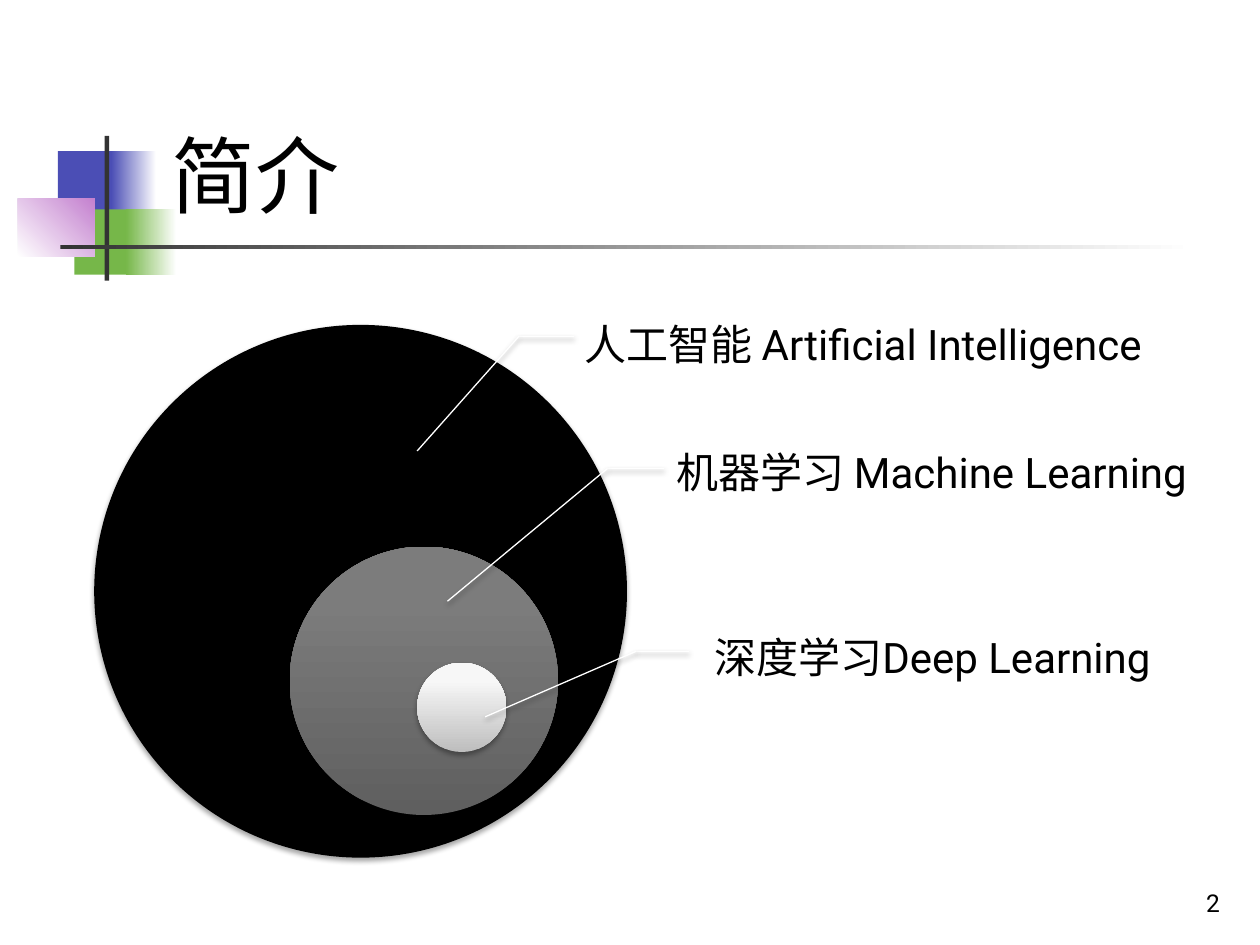
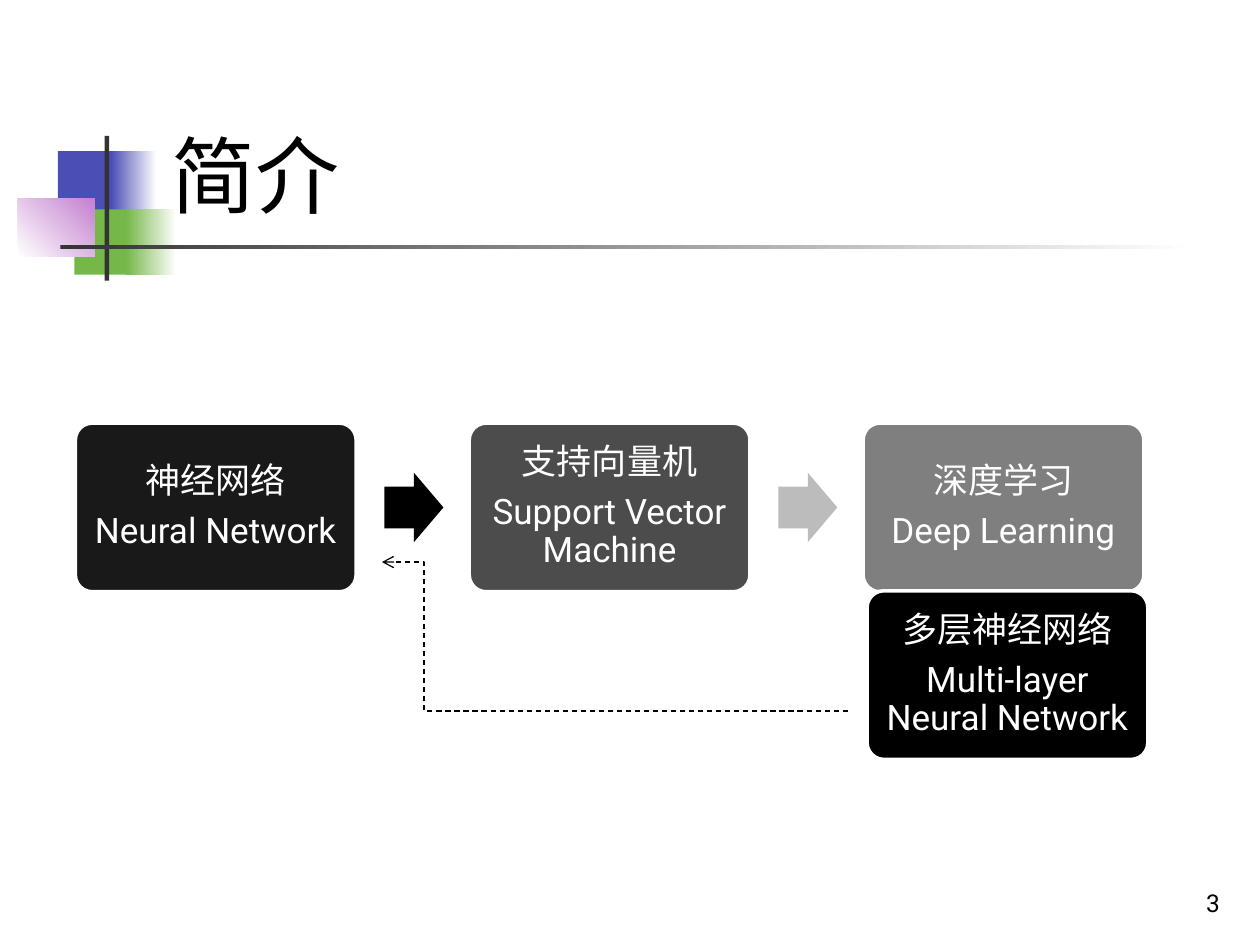
from lxml import etree
from pptx import Presentation
from pptx.dml.color import RGBColor
from pptx.enum.dml import MSO_LINE
from pptx.enum.shapes import MSO_CONNECTOR as CONN, MSO_SHAPE as SHAPE
from pptx.enum.text import MSO_ANCHOR as ANCHOR, PP_ALIGN as ALIGN
from pptx.oxml.ns import qn
from pptx.util import Cm, Pt

BLACK, WHITE, DARK = "000000", "FFFFFF", "333333"
BLUE, GREEN, PINK = "4B4EB5", "76B749", "C481CF"
BODY_FONT, TITLE_FONT = "Roboto", "DejaVu Sans Mono"
TITLE_AT = (3.2, 0.58, 21.64, 4.06)
NUMBER_AT = (19.56, 17.35, 5.28, 1.27)

# Corner ornament: place, fill
ORNAMENT = [
    ((1.17, 3.05, 1.22, 1.32), BLUE),
    ((2.24, 3.05, 0.91, 1.32), ([(0, BLUE), (100, WHITE)], 0)),
    ((1.5, 4.22, 1.17, 1.32), GREEN),
    ((2.54, 4.22, 1.02, 1.32), ([(0, GREEN), (100, WHITE)], 0)),
    ((0.36, 4.01, 1.55, 1.17), ([(0, WHITE), (100, PINK)], 315)),
    ((2.11, 2.74, 0.09, 2.92), DARK),
    ((1.22, 4.94, 22.86, 0.09), ([(0, DARK), (100, WHITE)], 0)),
]

# Nested circles: left, top, diameter, fill
CIRCLES = [
    (1.9, 6.55, 10.74, BLACK),
    (5.84, 11.02, 5.41, ([(0, "5F5F5F"), (80, "7C7C7C"), (100, "7C7C7C")], 270)),
    (8.41, 13.36, 1.8, ([(0, "BEBEBE"), (80, "F7F7F7"), (100, "F8F8F8")], 270)),
]

# Labels: text, place, leader points from label to circle
LABELS = [
    ("人工智能 Artificial Intelligence", (11.3, 5.69, 12.52, 2.62),
     [(11.58, 6.78), (10.46, 6.78), (8.41, 9.09)]),
    ("机器学习 Machine Learning", (13.16, 8.26, 12.34, 2.62),
     [(13.39, 9.45), (12.24, 9.45), (9.02, 12.12)]),
    ("深度学习Deep Learning", (13.92, 12.34, 10.85, 1.93),
     [(13.89, 13.13), (12.82, 13.13), (9.78, 14.45)]),
]

# Stages: lines, opacity of the black fill
STAGES = [
    (["神经网络", "Neural Network"], 90),
    (["支持向量机", "Support Vector Machine"], 70),
    (["深度学习", "Deep Learning"], 50),
]
STAGE_LEFT, STAGE_TOP, STAGE_STEP = 1.52, 8.53, 7.94
STAGE_SIZE = (5.66, 3.4)


def rgb(color):
    return RGBColor.from_string(color)


def cm(values):
    return [Cm(v) for v in values]


def sub(parent, tag, **attrs):
    return etree.SubElement(parent, qn(tag), {k: str(v) for k, v in attrs.items()})


def set_attrs(obj, values):
    for name, value in values.items():
        setattr(obj, name, value)


def set_gradient(sp, stops, angle):
    sp.fill.background()
    spPr = sp._element.spPr
    grad = etree.Element(qn("a:gradFill"), rotWithShape="1")
    stop_list = sub(grad, "a:gsLst")
    for pos, color in stops:
        sub(sub(stop_list, "a:gs", pos=pos * 1000), "a:srgbClr", val=color)
    sub(grad, "a:lin", ang=angle * 60000, scaled=0)
    spPr.replace(spPr.find(qn("a:noFill")), grad)


def set_opacity(sp, percent):
    color = sp._element.spPr.find(qn("a:solidFill"))[0]
    sub(color, "a:alpha", val=percent * 1000)


def set_shadow(sp, opacity, distance):
    spPr = sp._element.spPr
    effects = spPr.find(qn("a:effectLst"))
    if effects is None:
        effects = sub(spPr, "a:effectLst")
    shadow = sub(effects, "a:outerShdw", blurRad=Pt(3.1), dist=Pt(distance),
                 dir=5400000, rotWithShape=0)
    sub(sub(shadow, "a:srgbClr", val=BLACK), "a:alpha", val=opacity * 1000)


def write(tf, lines, font, color=BLACK, align=ALIGN.LEFT, **paragraph):
    for i, line in enumerate(lines):
        p = tf.paragraphs[0] if i == 0 else tf.add_paragraph()
        set_attrs(p, {"alignment": align, **paragraph})
        if i:
            p.space_before = Pt(7)
        r = p.add_run()
        r.text = line
        set_attrs(r.font, font)
        r.font.color.rgb = rgb(color)


def add_shape(s, kind, at, fill, adjust=()):
    sp = s.shapes.add_shape(kind, *cm(at))
    sp.shadow.inherit = False
    sp.line.fill.background()
    for i, value in enumerate(adjust):
        sp.adjustments[i] = value
    if isinstance(fill, str):
        sp.fill.solid()
        sp.fill.fore_color.rgb = rgb(fill)
    else:
        set_gradient(sp, *fill)
    return sp


def add_text(s, at, lines, font, frame, **style):
    tf = s.shapes.add_textbox(*cm(at)).text_frame
    set_attrs(tf, {"word_wrap": True, **frame})
    write(tf, lines, font, **style)


def add_line(s, start, end, color):
    line = s.shapes.add_connector(CONN.STRAIGHT, *cm(start + end))
    line.line.color.rgb = rgb(color)
    line.line.width = Pt(0.75)
    sub(line._element.spPr, "a:effectLst")
    return line


def add_leader(s, points):
    for start, end in zip(points, points[1:]):
        set_shadow(add_line(s, start, end, WHITE), 38, 1.6)


def add_stage(s, left, top, lines, opacity=100):
    sp = add_shape(s, SHAPE.ROUNDED_RECTANGLE, (left, top, *STAGE_SIZE), BLACK, [0.1])
    set_opacity(sp, opacity)
    sp.line.color.rgb = rgb(WHITE)
    sp.line.width = Pt(2)
    inset = Cm(0.2)
    set_attrs(sp.text_frame, {
        "word_wrap": True, "vertical_anchor": ANCHOR.MIDDLE, "margin_left": inset,
        "margin_right": inset, "margin_top": inset, "margin_bottom": inset})
    write(sp.text_frame, lines, {"name": BODY_FONT, "size": Pt(20)}, WHITE,
          ALIGN.CENTER, line_spacing=0.9)


def add_feedback(s, start, end, bend):
    """Dashed elbow arrow that runs back from the lower right to the upper left."""
    line = s.shapes.add_connector(CONN.ELBOW, *cm(end + start))
    line.line.color.rgb = rgb(BLACK)
    line.line.width = Pt(0.75)
    line.line.dash_style = MSO_LINE.DASH
    spPr = line._element.spPr
    spPr.find(qn("a:xfrm")).set("rot", "10800000")
    guides = spPr.find(qn("a:prstGeom")).find(qn("a:avLst"))
    sub(guides, "a:gd", name="adj1", fmla=f"val {round(bend * 100000)}")
    sub(spPr.find(qn("a:ln")), "a:tailEnd", type="arrow")
    sub(spPr, "a:effectLst")


def new_slide(prs, title, number):
    s = prs.slides.add_slide(prs.slide_layouts[5])
    # Title
    sp = s.shapes.title
    set_attrs(sp, dict(zip(("left", "top", "width", "height"), cm(TITLE_AT))))
    sp.text_frame.vertical_anchor = ANCHOR.BOTTOM
    write(sp.text_frame, [title], {"name": TITLE_FONT, "size": Pt(48)})
    # Ornament and slide number
    for at, fill in ORNAMENT:
        add_shape(s, SHAPE.RECTANGLE, at, fill)
    add_text(s, NUMBER_AT, [str(number)], {"name": BODY_FONT, "size": Pt(14)},
             {"vertical_anchor": ANCHOR.BOTTOM}, align=ALIGN.RIGHT)
    return s


def build_fields(prs):
    s = new_slide(prs, "简介", 2)
    for left, top, size, fill in CIRCLES:
        set_shadow(add_shape(s, SHAPE.OVAL, (left, top, size, size), fill), 35, 1.8)
    frame = {"vertical_anchor": ANCHOR.MIDDLE, "margin_left": Cm(0.48),
             "margin_right": Cm(0.08), "margin_top": Cm(0.08), "margin_bottom": Cm(0.08)}
    for text, at, points in LABELS:
        add_text(s, at, [text], {"name": BODY_FONT, "size": Pt(24)}, frame,
                 line_spacing=0.9)
        add_leader(s, points)


def build_history(prs):
    s = new_slide(prs, "简介", 3)
    # Stages in a row, with an arrow in each gap
    for i, (lines, opacity) in enumerate(STAGES):
        add_stage(s, STAGE_LEFT + i * STAGE_STEP, STAGE_TOP, lines, opacity)
    for i, color in enumerate((BLACK, "BCBCBC")):
        add_shape(s, SHAPE.RIGHT_ARROW, (7.75 + i * STAGE_STEP, 9.53, 1.19, 1.4),
                  color, [0.6, 0.5])
    # Link from deep learning back to neural networks
    add_stage(s, 17.48, 11.91, ["多层神经网络", "Multi-layer Neural Network"])
    add_feedback(s, (17.09, 14.33), (7.7, 11.33), 0.91)


def main():
    prs = Presentation()
    prs.slide_width, prs.slide_height = Cm(25.4), Cm(19.05)
    build_fields(prs)
    build_history(prs)
    prs.save("out.pptx")


if __name__ == "__main__":
    main()
